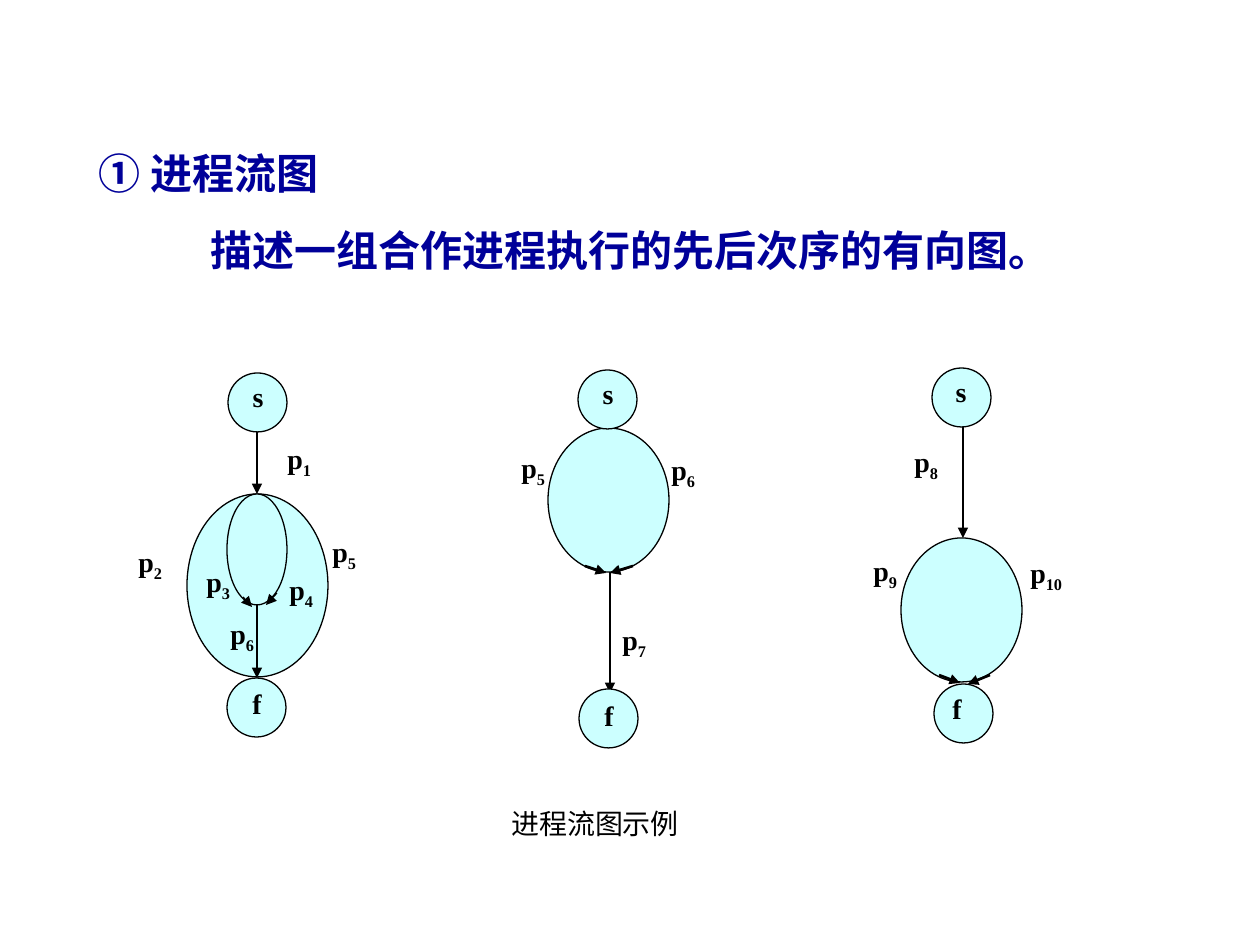
from dataclasses import dataclass

from pptx import Presentation
from pptx.dml.color import RGBColor
from pptx.enum.shapes import MSO_CONNECTOR as Connector, MSO_SHAPE as Shape
from pptx.enum.text import MSO_ANCHOR as Anchor, MSO_AUTO_SIZE as AutoSize, PP_ALIGN as Align
from pptx.oxml.ns import qn
from pptx.util import Emu, Pt
from lxml.etree import SubElement

EMU_PER_PIXEL = 914400 / 126


def px(value):
    return Emu(round(value * EMU_PER_PIXEL))


@dataclass(frozen=True)
class Theme:
    font: str = "Times New Roman"
    heading: RGBColor = RGBColor(0x00, 0x00, 0x99)
    ink: RGBColor = RGBColor(0x00, 0x00, 0x00)
    node: RGBColor = RGBColor(0xCC, 0xFF, 0xFF)
    heading_size: int = 24
    label_size: int = 16
    outline: float = 0.75


class FlowSlide:
    node_size = 59

    def __init__(self, slide, theme):
        self.slide = slide
        self.theme = theme

    def style(self, paragraph, size, color, bold):
        for run in paragraph.runs:
            run.font.name = self.theme.font
            run.font.size = Pt(size)
            run.font.color.rgb = color
            run.font.bold = bold

    def heading(self, placeholder, text, box, line_spacing=1.0):
        placeholder.left, placeholder.top, placeholder.width, placeholder.height = map(px, box)
        frame = placeholder.text_frame
        frame.text = text
        frame.word_wrap = True
        frame.auto_size = AutoSize.NONE
        frame.vertical_anchor = Anchor.TOP
        paragraph = frame.paragraphs[0]
        properties = paragraph._p.get_or_add_pPr()
        properties.set("marL", "0")
        properties.set("indent", "0")
        SubElement(properties, qn("a:buNone"))
        paragraph.alignment = Align.LEFT
        paragraph.space_before = Pt(0)
        paragraph.line_spacing = line_spacing
        self.style(paragraph, self.theme.heading_size, self.theme.heading, True)

    def text(self, text, box, bold=True, align=Align.LEFT, line_spacing=1.0):
        frame = self.slide.shapes.add_textbox(*map(px, box)).text_frame
        frame.word_wrap = True
        paragraph = frame.paragraphs[0]
        paragraph.text = text
        paragraph.alignment = align
        paragraph.line_spacing = line_spacing
        self.style(paragraph, self.theme.label_size, self.theme.ink, bold)
        return paragraph

    def ellipse(self, left, top, width, height):
        shape = self.slide.shapes.add_shape(Shape.OVAL, *map(px, (left, top, width, height)))
        shape.shadow.inherit = False
        shape.fill.solid()
        shape.fill.fore_color.rgb = self.theme.node
        shape.line.color.rgb = self.theme.ink
        shape.line.width = Pt(self.theme.outline)

    def node(self, name, left, top, label_left, label_top):
        self.ellipse(left, top, self.node_size, self.node_size)
        self.text(name, (label_left, label_top, 50, 49), align=Align.CENTER)

    def arrow(self, start_x, start_y, end_x, end_y, width):
        ends = map(px, (start_x, start_y, end_x, end_y))
        connector = self.slide.shapes.add_connector(Connector.STRAIGHT, *ends)
        connector.line.color.rgb = self.theme.ink
        connector.line.width = Pt(width)
        SubElement(connector.line._get_or_add_ln(), qn("a:tailEnd"), type="triangle")
        SubElement(connector._element.spPr, qn("a:effectLst"))

    def process(self, number, left, top):
        paragraph = self.text("p", (left, top, 63, 64))
        subscript = paragraph.add_run()
        subscript.text = str(number)
        self.style(paragraph, self.theme.label_size, self.theme.ink, True)
        subscript.font._element.set("baseline", "-25000")

    def graph(self, ellipses, arrows, nodes, processes):
        for ellipse in ellipses:
            self.ellipse(*ellipse)
        for arrow in arrows:
            self.arrow(*arrow)
        for node in nodes:
            self.node(*node)
        for process in processes:
            self.process(*process)


GRAPHS = [
    dict(
        ellipses=[(187, 494, 141, 183), (227, 494, 60, 111)],
        arrows=[
            (257, 430, 257, 494, 1),
            (243, 597, 252, 607, 0.75),
            (277, 593, 266, 605, 0.75),
            (257, 604, 257, 678, 1),
        ],
        nodes=[("s", 228, 373, 233, 373), ("f", 227, 678, 232, 680)],
        processes=[
            (1, 275, 435), (2, 126, 538), (3, 194, 558),
            (4, 277, 566), (5, 320, 528), (6, 218, 610),
        ],
    ),
    dict(
        ellipses=[(548, 428, 121, 144)],
        arrows=[
            (585, 566, 606, 573, 1.5),
            (633, 566, 610, 573, 1.5),
            (610, 572, 610, 693, 0.75),
        ],
        nodes=[("s", 578, 370, 583, 370), ("f", 579, 689, 584, 692)],
        processes=[(5, 509, 444), (6, 659, 446), (7, 610, 616)],
    ),
    dict(
        ellipses=[(901, 538, 121, 144)],
        arrows=[
            (963, 427, 963, 538, 0.75),
            (939, 675, 960, 683, 1.5),
            (990, 675, 968, 684, 1.5),
        ],
        nodes=[("s", 932, 368, 936, 368), ("f", 934, 684, 932, 685)],
        processes=[(8, 902, 438), (9, 861, 547), (10, 1018, 549)],
    ),
]


def main():
    presentation = Presentation()
    presentation.slide_width, presentation.slide_height = px(1260), px(945)
    slide = presentation.slides.add_slide(presentation.slide_layouts[1])
    flow = FlowSlide(slide, Theme())
    flow.heading(slide.shapes.title, "① 进程流图", (86, 131, 442, 73), 1.2)
    flow.heading(slide.placeholders[1], "描述一组合作进程执行的先后次序的有向图。", (198, 218, 883, 63))
    for graph in GRAPHS:
        flow.graph(**graph)
    flow.text("进程流图示例", (499, 794, 258, 53), bold=False, line_spacing=1.2)
    presentation.save("out.pptx")


if __name__ == "__main__":
    main()
